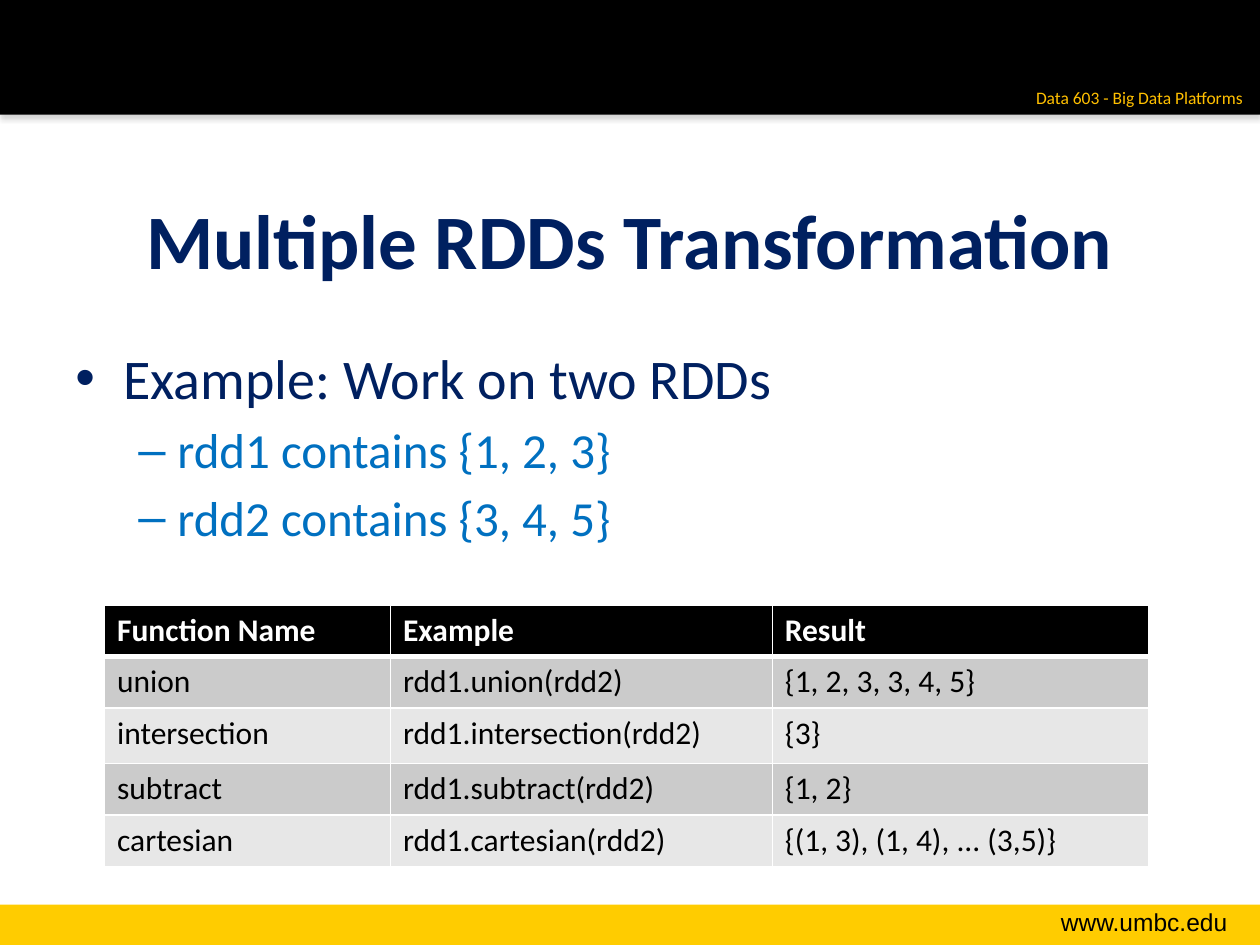
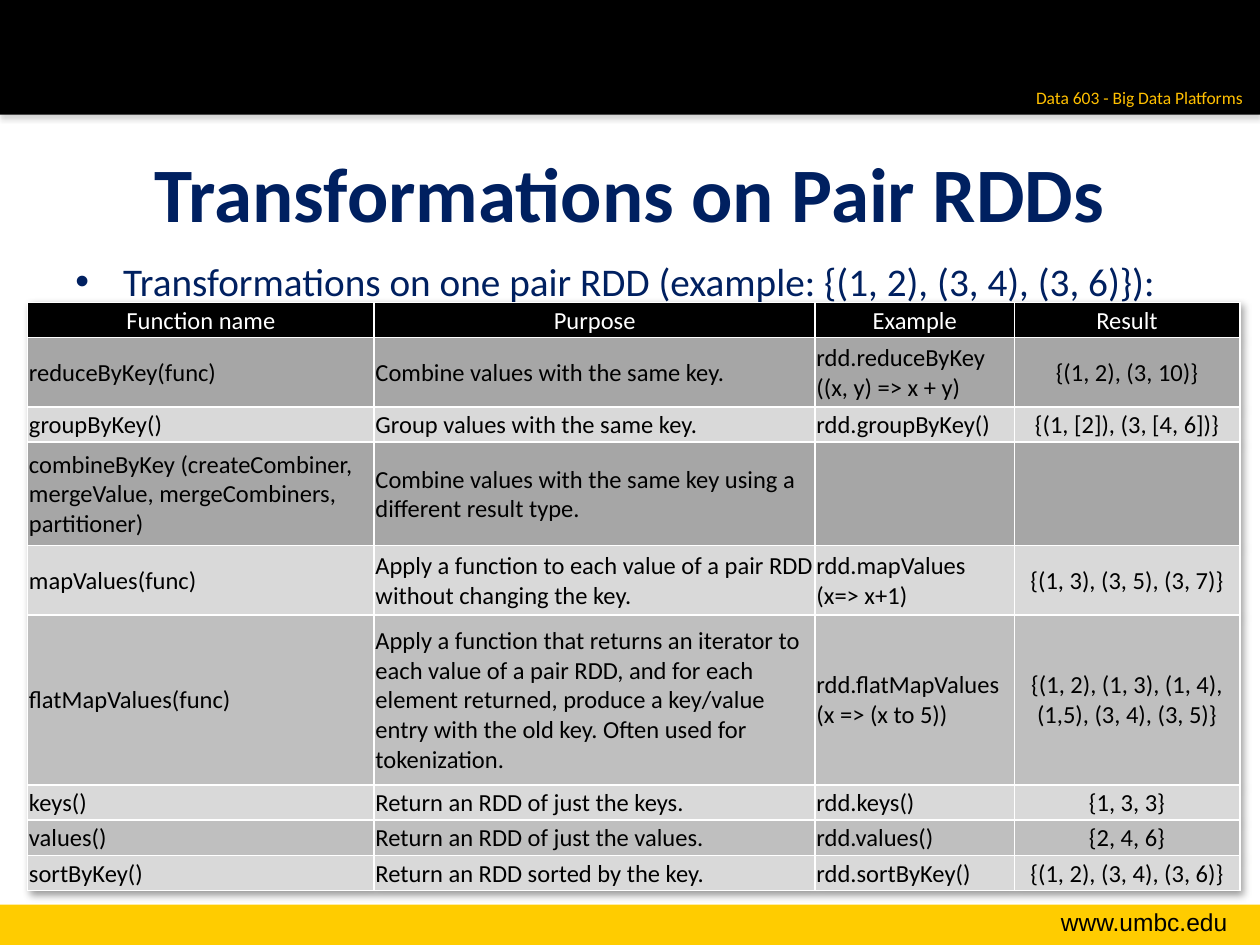
import lxml.etree
import pptx
import pptx.dml.color
import pptx.enum.shapes
import pptx.enum.text
import pptx.oxml.ns
import pptx.util

Inches = pptx.util.Inches
Pt = pptx.util.Pt
RGBColor = pptx.dml.color.RGBColor
ALIGN = pptx.enum.text.PP_ALIGN
ANCHOR = pptx.enum.text.MSO_ANCHOR
qn = pptx.oxml.ns.qn

BLACK = RGBColor(0x00, 0x00, 0x00)
WHITE = RGBColor(0xFF, 0xFF, 0xFF)
GOLD = RGBColor(0xFF, 0xCC, 0x00)
AMBER = RGBColor(0xFF, 0xC0, 0x00)
GRAY = RGBColor(0x80, 0x80, 0x80)
NAVY = RGBColor(0x00, 0x20, 0x60)
BLUE = RGBColor(0x00, 0x70, 0xC0)
DARK_ROW = RGBColor(0xA6, 0xA6, 0xA6)
MEDIUM_ROW = RGBColor(0xBF, 0xBF, 0xBF)
PALE_ROW = RGBColor(0xD9, 0xD9, 0xD9)
ODD_ROW = RGBColor(0xCB, 0xCB, 0xCB)
EVEN_ROW = RGBColor(0xE7, 0xE7, 0xE7)

# Bullet sign, left margin and hanging indent by level
BULLETS = [("•", 0.38, 0.38), ("–", 0.81, 0.31)]

RDD_ROWS = [
    ("Function Name", "Example", "Result"),
    ("union", "rdd1.union(rdd2)", "{1, 2, 3, 3, 4, 5}"),
    ("intersection", "rdd1.intersection(rdd2)", "{3}"),
    ("subtract", "rdd1.subtract(rdd2)", "{1, 2}"),
    ("cartesian", "rdd1.cartesian(rdd2)", "{(1, 3), (1, 4), ... (3,5)}"),
]

PAIR_ROWS = [
    ("Function name", "Purpose", "Example", "Result"),
    ("reduceByKey(func)", "Combine values with the same key.",
     "rdd.reduceByKey ((x, y) => x + y)", "{(1, 2), (3, 10)}"),
    ("groupByKey()", "Group values with the same key.",
     "rdd.groupByKey()", "{(1, [2]), (3, [4, 6])}"),
    ("combineByKey (createCombiner, mergeValue, mergeCombiners, partitioner)",
     "Combine values with the same key using a different result type.", "", ""),
    ("mapValues(func)",
     "Apply a function to each value of a pair RDD without changing the key.",
     "rdd.mapValues (x=> x+1)", "{(1, 3), (3, 5), (3, 7)}"),
    ("flatMapValues(func)",
     "Apply a function that returns an iterator to each value of a pair RDD, "
     "and for each element returned, produce a key/value entry with the old key. "
     "Often used for tokenization.",
     "rdd.flatMapValues (x => (x to 5))",
     "{(1, 2), (1, 3), (1, 4), (1,5), (3, 4), (3, 5)}"),
    ("keys()", "Return an RDD of just the keys.", "rdd.keys()", "{1, 3, 3}"),
    ("values()", "Return an RDD of just the values.", "rdd.values()", "{2, 4, 6}"),
    ("sortByKey()", "Return an RDD sorted by the key.",
     "rdd.sortByKey()", "{(1, 2), (3, 4), (3, 6)}"),
]


def write_text(para, text, size=18, color=BLACK, bold=False, font="Calibri",
               align=ALIGN.LEFT):
    para.alignment = align
    span = para.add_run()
    span.text = text
    span.font.name = font
    span.font.size = Pt(size)
    span.font.bold = bold
    span.font.color.rgb = color


def add_box(page, left, top, width, height, wrap=True, anchor=ANCHOR.TOP):
    box = page.shapes.add_textbox(Inches(left), Inches(top), Inches(width), Inches(height))
    box.text_frame.word_wrap = wrap
    box.text_frame.vertical_anchor = anchor
    return box.text_frame


def add_shadow(effects, color, opacity, blur, distance, angle):
    """Put an outer shadow into an a:effectLst element."""
    shadow = lxml.etree.SubElement(
        effects, qn("a:outerShdw"), blurRad=str(Pt(blur)), dist=str(Pt(distance)),
        dir=str(angle * 60000), rotWithShape="0")
    tint = lxml.etree.SubElement(shadow, qn("a:srgbClr"), val=str(color))
    lxml.etree.SubElement(tint, qn("a:alpha"), val=str(opacity * 1000))


def add_band(page, top, height, color):
    band = page.shapes.add_shape(pptx.enum.shapes.MSO_SHAPE.RECTANGLE,
                                 0, Inches(top), Inches(10), Inches(height))
    band.fill.solid()
    band.fill.fore_color.rgb = color
    band.line.fill.background()
    band.shadow.inherit = False
    return band


def add_page(deck, title, title_lift=0):
    """Add a slide with bands, footer and a title raised by title_lift inches."""
    page = deck.slides.add_slide(deck.slide_layouts[6])
    add_band(page, 7.18, 0.32, GOLD)
    header = add_band(page, 0, 0.91, BLACK)
    effects = header._element.spPr.find(qn("a:effectLst"))
    add_shadow(effects, GRAY, opacity=35, blur=3.1, distance=1.8, angle=90)
    footer = add_box(page, 7.85, 7.15, 1.99, 0.34)
    write_text(footer.paragraphs[0], "www.umbc.edu", size=14, font="Arial",
               align=ALIGN.RIGHT)
    course = add_box(page, 8.09, 0.64, 1.87, 0.27, wrap=False)
    write_text(course.paragraphs[0], "Data 603 - Big Data Platforms", size=10,
               color=AMBER, align=ALIGN.RIGHT)
    heading = add_box(page, 0.5, 1.27, 9, 1.25, anchor=ANCHOR.MIDDLE)
    heading.margin_bottom = Inches(0.05 + 2 * title_lift)
    write_text(heading.paragraphs[0], title, size=44, color=NAVY, bold=True,
               align=ALIGN.CENTER)
    return page


def add_bullet(para, text, level=0, **style):
    sign, margin, hanging = BULLETS[level]
    para.level = level
    properties = para._p.get_or_add_pPr()
    properties.set("marL", str(Inches(margin)))
    properties.set("indent", str(-Inches(hanging)))
    lxml.etree.SubElement(properties, qn("a:buFont"), typeface="Arial")
    lxml.etree.SubElement(properties, qn("a:buChar"), char=sign)
    write_text(para, text, **style)


def set_borders(cell, top=1, bottom=1):
    properties = cell._tc.get_or_add_tcPr()
    sides = [("L", 1), ("R", 1), ("T", top), ("B", bottom)]
    for place, (side, weight) in enumerate(sides):
        line = lxml.etree.Element(qn(f"a:ln{side}"), w=str(Pt(weight)))
        fill = lxml.etree.SubElement(line, qn("a:solidFill"))
        lxml.etree.SubElement(fill, qn("a:srgbClr"), val=str(WHITE))
        properties.insert(place, line)


def add_grid(page, left, top, rows, widths, heights, fills, style_of,
             margins=(0.1, 0.05, 0.1, 0.05), anchor=ANCHOR.TOP, header_rule=1):
    """Add a table; style_of(row, column) gives the text format of a cell."""
    frame = page.shapes.add_table(len(rows), len(widths), Inches(left), Inches(top),
                                  Inches(sum(widths)), Inches(sum(heights)))
    table = frame.table
    table.first_row = table.horz_banding = False
    for column, width in zip(table.columns, widths):
        column.width = Inches(width)
    for r, (texts, height, fill) in enumerate(zip(rows, heights, fills)):
        table.rows[r].height = Inches(height)
        for c, text in enumerate(texts):
            cell = table.cell(r, c)
            cell.fill.solid()
            cell.fill.fore_color.rgb = fill
            cell.vertical_anchor = anchor
            (cell.margin_left, cell.margin_top,
             cell.margin_right, cell.margin_bottom) = map(Inches, margins)
            set_borders(cell, top=header_rule if r == 1 else 1,
                        bottom=header_rule if r == 0 else 1)
            if text:
                write_text(cell.text_frame.paragraphs[0], text, **style_of(r, c))
    return table


def rdd_style(row, column):
    header = row == 0
    return {"color": WHITE if header else BLACK, "bold": header}


def pair_style(row, column):
    centered = row == 0 or column == 3
    return {"size": 14, "color": WHITE if row == 0 else BLACK,
            "align": ALIGN.CENTER if centered else ALIGN.LEFT}


def add_multiple_rdds(deck):
    page = add_page(deck, "Multiple RDDs Transformation")
    body = add_box(page, 0.5, 2.68, 9, 1.8)
    add_bullet(body.paragraphs[0], "Example: Work on two RDDs", size=32, color=NAVY)
    for text in ("rdd1 contains {1, 2, 3}", "rdd2 contains {3, 4, 5}"):
        para = body.add_paragraph()
        para.space_before = Pt(5)
        add_bullet(para, text, level=1, size=28, color=BLUE)
    add_grid(page, 0.83, 4.8, RDD_ROWS, widths=[2.27, 3.03, 2.99],
             heights=[0.41, 0.41, 0.44, 0.41, 0.41],
             fills=[BLACK] + [ODD_ROW, EVEN_ROW] * 2,
             style_of=rdd_style, header_rule=3)


def add_pair_rdds(deck):
    page = add_page(deck, "Transformations on Pair RDDs", title_lift=0.37)
    body = add_box(page, 0.5, 1.99, 9, 0.63)
    add_bullet(body.paragraphs[0],
               "Transformations on one pair RDD (example: {(1, 2), (3, 4), (3, 6)}):",
               size=22.4, color=NAVY)
    table = add_grid(page, 0.22, 2.4, PAIR_ROWS, widths=[2.75, 3.5, 1.58, 1.79],
                     heights=[0.28, 0.55, 0.28, 0.82, 0.55, 1.35] + [0.28] * 3,
                     fills=[BLACK] + [DARK_ROW, PALE_ROW] * 2 + [MEDIUM_ROW, PALE_ROW] * 2,
                     style_of=pair_style, margins=(0.01, 0.01, 0.01, 0),
                     anchor=ANCHOR.MIDDLE)
    effects = lxml.etree.Element(qn("a:effectLst"))
    add_shadow(effects, BLACK, opacity=40, blur=4, distance=3, angle=45)
    table._tbl.tblPr.insert(0, effects)


def main():
    deck = pptx.Presentation()
    deck.slide_width = Inches(10)
    deck.slide_height = Inches(7.5)
    add_multiple_rdds(deck)
    add_pair_rdds(deck)
    deck.save("out.pptx")


if __name__ == "__main__":
    main()
